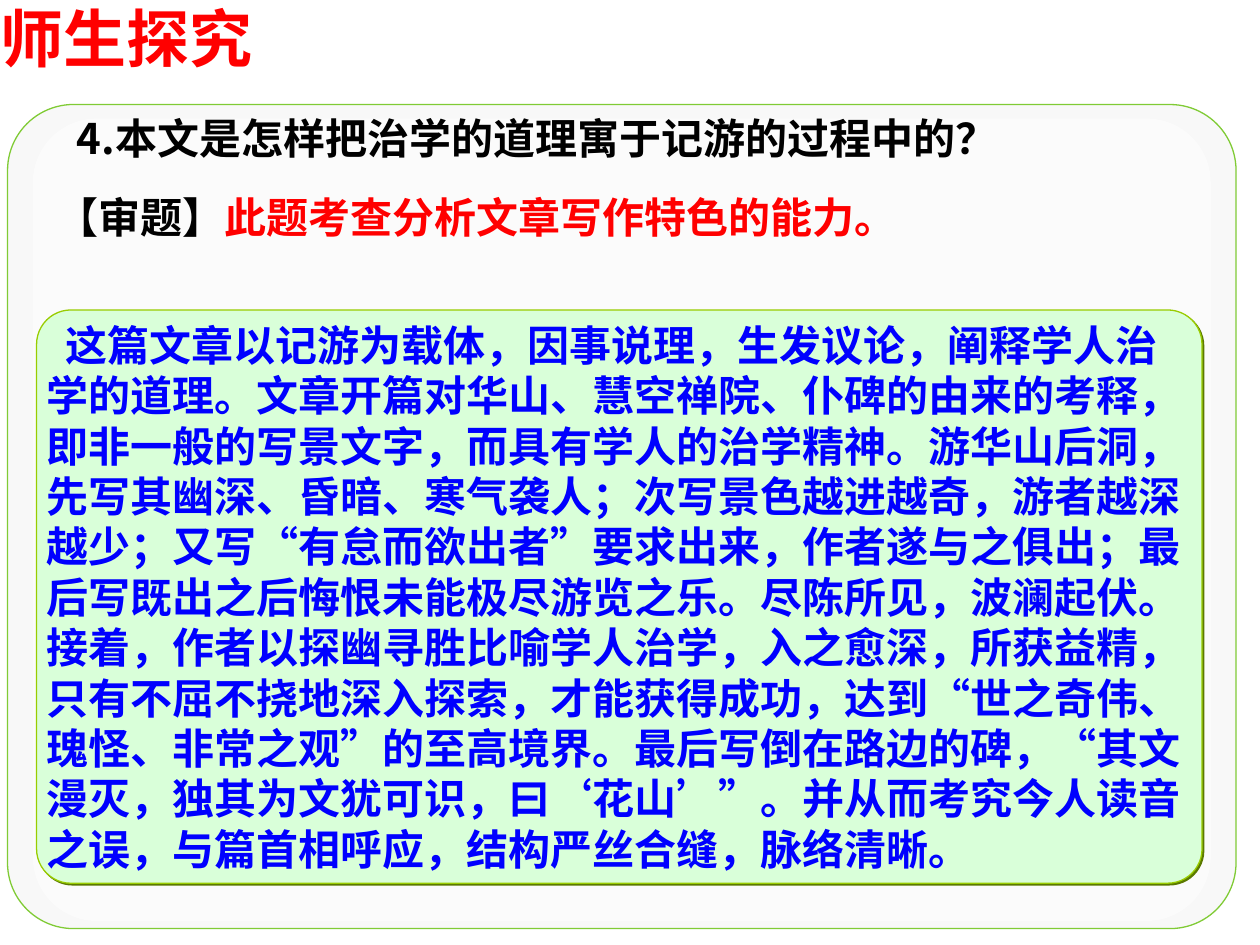
from lxml.etree import SubElement
from pptx import Presentation
from pptx.dml.color import RGBColor
from pptx.enum.shapes import MSO_SHAPE
from pptx.enum.text import MSO_ANCHOR, PP_ALIGN
from pptx.oxml.ns import qn
from pptx.util import Inches, Pt

COLORS = {
    "panel": "F8F8F8", "panel_line": "80CB35", "white": "FFFFFF",
    "answer": "D9FFD9", "answer_line": "99CC00", "answer_shadow": "5B7900",
    "red": "FF0000", "black": "000000", "blue": "0000FF", "text_shadow": "808080",
}
CJK_FONT = "Noto Sans CJK SC"
ANSWER = (
    "这篇文章以记游为载体，因事说理，生发议论，阐释学人治学的道理。"
    "文章开篇对华山、慧空禅院、仆碑的由来的考释，即非一般的写景文字，而具有学人的治学精神。"
    "游华山后洞，先写其幽深、昏暗、寒气袭人；次写景色越进越奇，游者越深越少；"
    "又写“有怠而欲出者”要求出来，作者遂与之俱出；最后写既出之后悔恨未能极尽游览之乐。"
    "尽陈所见，波澜起伏。接着，作者以探幽寻胜比喻学人治学，入之愈深，所获益精，"
    "只有不屈不挠地深入探索，才能获得成功，达到“世之奇伟、瑰怪、非常之观”的至高境界。"
    "最后写倒在路边的碑，“其文漫灭，独其为文犹可识，曰‘花山’”。"
    "并从而考究今人读音之误，与篇首相呼应，结构严丝合缝，脉络清晰。"
)


def color(name):
    return RGBColor.from_string(COLORS[name])


def add_shadow(properties, name, distance):
    """Give a shape or run a hard shadow towards the lower right."""
    effects = properties.find(qn("a:effectLst"))
    if effects is None:
        effects = SubElement(properties, qn("a:effectLst"))
    shadow = SubElement(effects, qn("a:outerShdw"), blurRad="0",
                        dist=str(Pt(distance)), dir="2700000", algn="ctr")
    SubElement(shadow, qn("a:srgbClr"), val=COLORS[name])


def add_panel(slide, box, corner, fill, line=None, opacity=100):
    shape = slide.shapes.add_shape(MSO_SHAPE.ROUNDED_RECTANGLE, *map(Inches, box))
    shape.adjustments[0] = corner
    shape.shadow.inherit = False
    shape.fill.solid()
    shape.fill.fore_color.rgb = color(fill)
    if opacity < 100:
        fill_color = shape.fill._xPr.find(qn("a:solidFill"))[0]
        SubElement(fill_color, qn("a:alpha"), val=str(opacity * 1000))
    if line:
        shape.line.color.rgb = color(line)
        shape.line.width = Pt(0.75)
    else:
        shape.line.fill.background()
    return shape


def write(shape, parts, size, font="Arial", margins=(0, 0),
          anchor=MSO_ANCHOR.TOP, shadow=True):
    """Fill a shape with one bold paragraph made of (text, color) parts."""
    frame = shape.text_frame
    frame.word_wrap = True
    frame.vertical_anchor = anchor
    frame.margin_left = frame.margin_right = Inches(margins[0])
    frame.margin_top = frame.margin_bottom = Inches(margins[1])
    paragraph = frame.paragraphs[0]
    paragraph.alignment = PP_ALIGN.LEFT
    paragraph.font.size = Pt(size)
    paragraph.font.bold = True
    paragraph.font.name = font
    for text, name in parts:
        run = paragraph.add_run()
        run.text = text
        run.font.color.rgb = color(name)
        properties = run.font._element
        if shadow:
            add_shadow(properties, "text_shadow", 1.5)
        SubElement(properties, qn("a:ea"), typeface=CJK_FONT)
    return paragraph


def add_text(slide, box, parts, size, **options):
    return write(slide.shapes.add_textbox(*map(Inches, box)), parts, size, **options)


def main():
    presentation = Presentation()
    presentation.slide_width, presentation.slide_height = Inches(10), Inches(7.5)
    slide = presentation.slides.add_slide(presentation.slide_layouts[6])

    # Background panel with its soft inner sheet
    add_panel(slide, (0.06, 0.83, 9.75, 6.54), 0.08, "panel", "panel_line")
    add_panel(slide, (0.26, 0.94, 9.35, 6.37), 0.08, "white", opacity=50)

    # Heading, question and hint
    add_text(slide, (0, 0, 3.35, 0.6), [("师生探究", "red")], 36)
    add_text(slide, (0.51, 0.84, 7.72, 0.5),
             [("4.本文是怎样把治学的道理寓于记游的过程中的？", "black")], 24,
             font=CJK_FONT, margins=(0.1, 0.05), anchor=MSO_ANCHOR.MIDDLE)
    add_text(slide, (0.35, 1.47, 8.82, 0.5),
             [("【审题】", "black"), ("此题考查分析文章写作特色的能力。", "red")], 24,
             margins=(0.1, 0.05))

    # Answer
    answer = add_panel(slide, (0.29, 2.46, 9.25, 4.55), 0.06, "answer", "answer_line")
    add_shadow(answer._element.spPr, "answer_shadow", 1.4)
    paragraph = write(answer, [(ANSWER, "blue")], 24, font=CJK_FONT,
                      anchor=MSO_ANCHOR.MIDDLE, shadow=False)
    paragraph._p.get_or_add_pPr().set("indent", str(Inches(0.15)))

    presentation.save("out.pptx")


if __name__ == "__main__":
    main()
